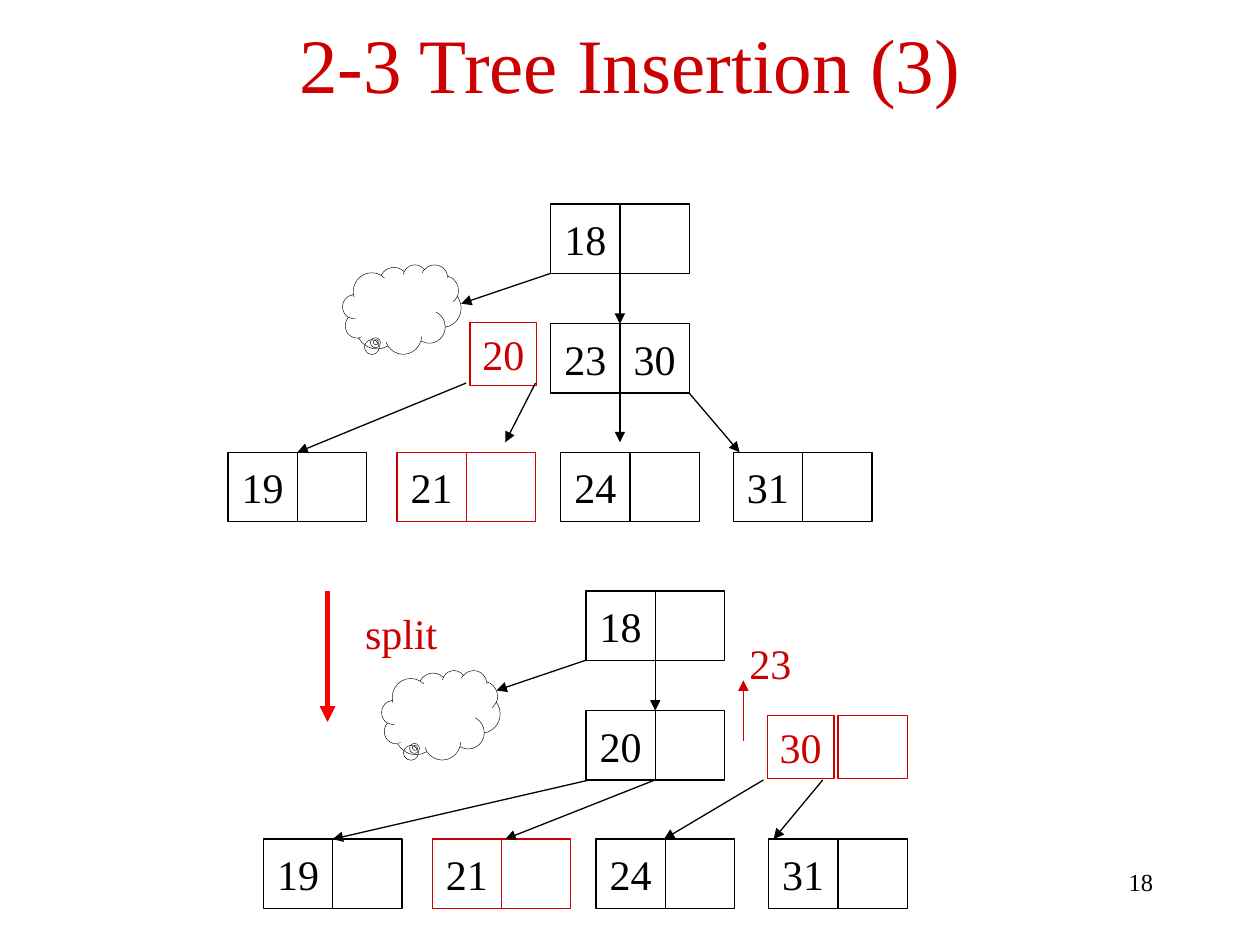
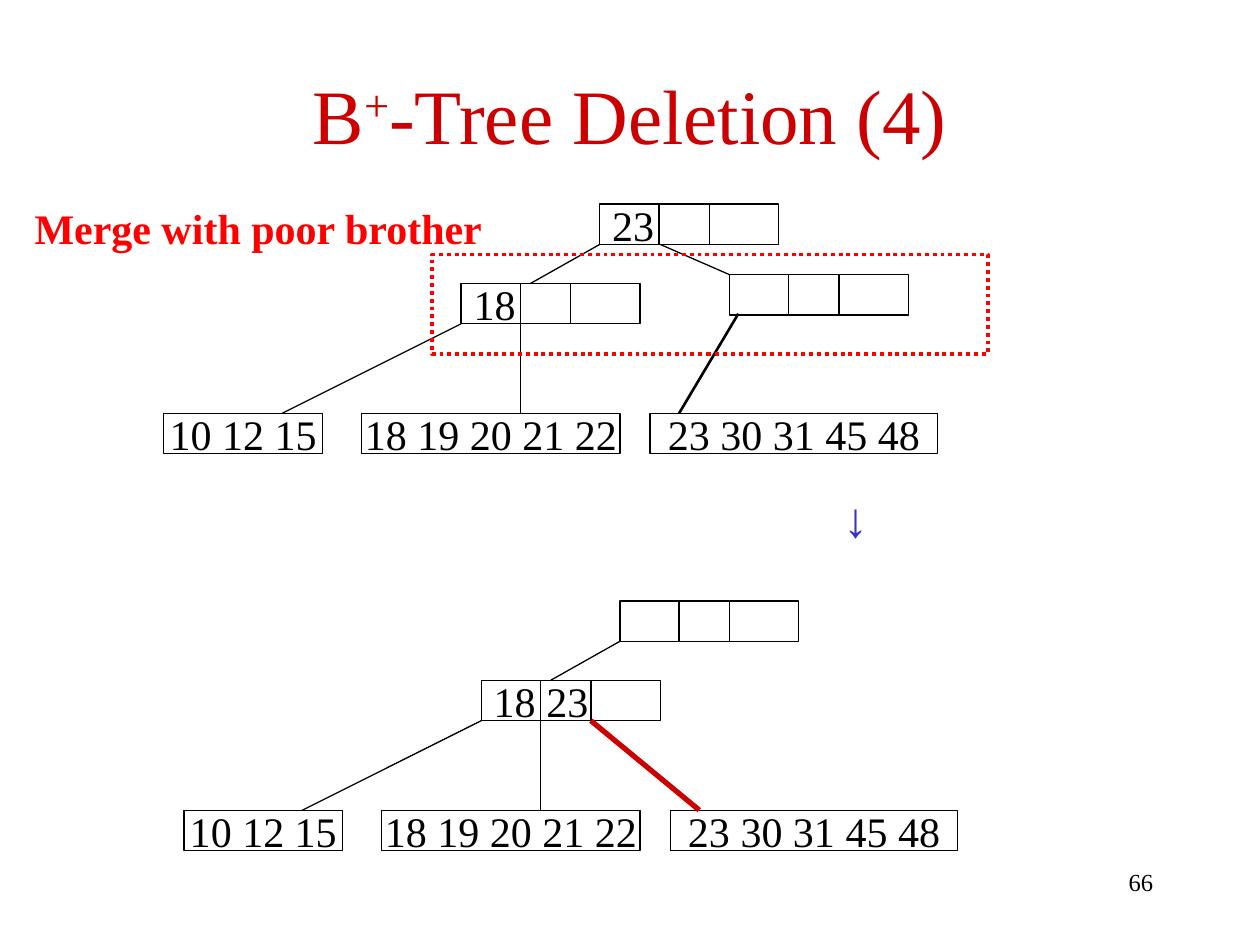
from dataclasses import dataclass
from lxml import etree
from pptx import Presentation, util as u
from pptx.dml.color import RGBColor
from pptx.enum import dml, shapes, text
from pptx.oxml.ns import qn


@dataclass(frozen=True)
class Theme:
    font: str = "Times New Roman"
    black: str = "000000"
    dark_red: str = "CC0000"
    red: str = "FF0000"
    blue: str = "3333CC"
    title: int = 44
    arrow: int = 28
    body: int = 24
    number: int = 14
    hair: float = 0.25
    thin: float = 0.75
    medium: float = 1.5
    dotted: float = 2.25
    thick: float = 3


T = Theme()
CELL = 0.55
NODE_W, NODE_H = 1.42, 0.32
DIVIDERS = 0.47, 0.87
ALIGN, ANCHOR = text.PP_ALIGN, text.MSO_ANCHOR
KIND = shapes.MSO_SHAPE


@dataclass
class Region:
    """A part of a slide; everything in it is placed from its top left corner."""
    s: object
    x: float = 0
    y: float = 0

    def frame(self, x, y, w, h):
        return [u.Inches(v) for v in (self.x + x, self.y + y, w, h)]

    def shape(self, x, y, w, h, kind=KIND.RECTANGLE, color=T.black, width=T.thin):
        sp = self.s.shapes.add_shape(kind, *self.frame(x, y, w, h))
        sp.shadow.inherit = False
        sp.fill.background()
        sp.line.color.rgb = RGBColor.from_string(color)
        sp.line.width = u.Pt(width)
        return sp

    def label(self, x, y, w, h, words, **fmt):
        sp = self.s.shapes.add_textbox(*self.frame(x, y, w, h))
        write(sp, words, **fmt)

    def line(self, start, end, color=T.black, width=T.thin, arrow=False):
        ends = [u.Inches(v) for x, y in (start, end) for v in (self.x + x, self.y + y)]
        c = self.s.shapes.add_connector(shapes.MSO_CONNECTOR.STRAIGHT, *ends)
        c.line.color.rgb = RGBColor.from_string(color)
        c.line.width = u.Pt(width)
        if arrow:
            etree.SubElement(c.line._get_or_add_ln(), qn("a:tailEnd"), type="triangle")
        etree.SubElement(c._element.spPr, qn("a:effectLst"))


def write(sp, words, size=T.body, color=T.black, bold=False, align=ALIGN.CENTER,
          anchor=ANCHOR.TOP, wrap=False, raised=None):
    """Write one paragraph; the run equal to raised becomes a superscript."""
    tf = sp.text_frame
    frame = {"word_wrap": wrap, "vertical_anchor": anchor, "auto_size": text.MSO_AUTO_SIZE.NONE}
    for name, value in frame.items():
        setattr(tf, name, value)
    p = tf.paragraphs[0]
    p.alignment = align
    for part in [words] if isinstance(words, str) else words:
        r = p.add_run()
        r.text = part
        for name, value in {"name": T.font, "size": u.Pt(size), "bold": bold}.items():
            setattr(r.font, name, value)
        r.font.color.rgb = RGBColor.from_string(color)
        if part == raised:
            r.font._element.set("baseline", "30000")


def add_slide(prs, title, number, top, raised=None):
    """Blank slide with the shared title and slide number."""
    page = Region(prs.slides.add_slide(prs.slide_layouts[6]))
    page.label(0.5, top, 9, 1, title, size=T.title, color=T.dark_red,
               anchor=ANCHOR.MIDDLE, wrap=True, raised=raised)
    page.label(7.17, 6.83, 2.08, 0.5, number, size=T.number, align=ALIGN.RIGHT, wrap=True)
    return page


# 2-3 tree parts
def key_pair(tree, x, y, keys, color=T.black):
    for i, key in enumerate(keys):
        sp = tree.shape(x + i * CELL, y, CELL, CELL, color=color)
        if key:
            write(sp, key, anchor=ANCHOR.MIDDLE)


def red_key(tree, x, y, key):
    write(tree.shape(x, y, 0.53, 0.5, color=T.dark_red), key, color=T.dark_red)


def arrows(tree, *ends):
    for start, end in ends:
        tree.line(start, end, arrow=True)


def two_three_tree(tree, inner_keys, cloud_x, cloud_y):
    """Root, hidden left subtree, inner node and four leaves."""
    root_x, inner_y, leaf_y = 2.56, 0.95, 1.97
    key_pair(tree, root_x, 0, ("18", ""))
    key_pair(tree, root_x, inner_y, inner_keys)
    leaves = (0, "19"), (1.34, "21"), (2.64, "24"), (4.01, "31")
    for x, key in leaves:
        key_pair(tree, x, leaf_y, (key, ""), T.dark_red if key == "21" else T.black)
    cloud = tree.shape(cloud_x, cloud_y, 0.94, 0.71, KIND.CLOUD_CALLOUT, width=T.hair)
    for i, value in enumerate((-0.22, 0.367)):
        cloud.adjustments[i] = value
    arrows(tree, ((root_x, CELL), (1.85, 0.79)),
           ((root_x + CELL, CELL), (root_x + CELL, inner_y)))


def insertion_slide(prs):
    page = add_slide(prs, "2-3 Tree Insertion (3)", "18", 0)

    # Before the split
    before = Region(page.s, 1.81, 1.62)
    two_three_tree(before, ("23", "30"), 0.91, 0.48)
    red_key(before, 1.92, 0.94, "20")
    arrows(before, ((1.89, 1.42), (0.55, 1.97)), ((2.44, 1.42), (2.2, 1.89)),
           ((3.11, 1.5), (3.11, 1.89)), ((3.66, 1.5), (4.06, 1.97)))

    # Step between the trees
    page.line((2.6, 4.69), (2.6, 5.73), T.red, T.thick, arrow=True)
    page.label(2.8, 4.77, 0.77, 0.5, "split", color=T.dark_red)

    # After the split, with 23 moving up
    after = Region(page.s, 2.09, 4.69)
    two_three_tree(after, ("20", ""), 0.94, 0.63)
    red_key(after, 4, 0.99, "30")
    after.shape(4.56, 0.99, CELL, 0.5, color=T.dark_red)
    after.label(3.76, 0.32, 0.53, 0.5, "23", color=T.dark_red)
    after.line((3.81, 1.19), (3.81, 0.71), T.dark_red, arrow=True)
    arrows(after, ((2.59, 1.5), (0.55, 1.97)), ((3.11, 1.5), (1.92, 1.97)),
           ((3.97, 1.5), (3.18, 1.97)), ((4.44, 1.5), (4.05, 1.97)))


# B+ tree parts
def index_node(tree, x, y, keys=""):
    sp = tree.shape(x, y, NODE_W, NODE_H)
    if keys:
        write(sp, keys, align=ALIGN.LEFT, anchor=ANCHOR.MIDDLE)
    for dx in DIVIDERS:
        tree.line((x + dx, y), (x + dx, y + NODE_H))


def b_plus_tree(tree, root_keys, inner_keys):
    """Root, left inner node and three leaves with their shared edges."""
    root_x, inner_x, inner_y, leaf_y = 3.46, 2.36, 0.63, 1.66
    inner_bottom = inner_y + NODE_H
    index_node(tree, root_x, 0, root_keys)
    index_node(tree, inner_x, inner_y, inner_keys)
    leaves = ((0, 1.26, "10 12 15"), (1.57, 2.05, "18 19 20 21 22"),
              (3.86, 2.28, "23 30 31 45 48"))
    for x, w, keys in leaves:
        write(tree.shape(x, leaf_y, w, NODE_H), keys, anchor=ANCHOR.MIDDLE)
    tree.line((root_x, NODE_H), (2.91, inner_y))
    tree.line((inner_x, inner_bottom), (0.94, leaf_y))
    middle = inner_x + DIVIDERS[0]
    tree.line((middle, inner_bottom), (middle, leaf_y))


def deletion_slide(prs):
    page = add_slide(prs, ("B", "+", "-Tree Deletion (4)"), "66", 0.4, raised="+")

    # Before the merge
    before = Region(page.s, 1.3, 1.62)
    b_plus_tree(before, "23", "18")
    index_node(before, 4.49, 0.56)
    before.line((3.94, NODE_H), (4.49, 0.56))
    before.line((4.56, 0.87), (4.09, 1.66), width=T.medium)

    # Nodes to be merged
    page.label(0.17, 1.56, 3.76, 0.5, "Merge with poor brother", color=T.red, bold=True)
    marker = page.shape(3.43, 2.02, 4.41, 0.79, color=T.red, width=T.dotted)
    marker.line.dash_style = dml.MSO_LINE.ROUND_DOT
    page.label(5.47, 3.83, 2.64, 0.57, "↓", size=T.arrow, color=T.blue, bold=True, wrap=True)

    # After the merge
    after = Region(page.s, 1.46, 4.77)
    b_plus_tree(after, "", "18 23")
    after.line((3.23, 0.95), (4.09, 1.66), T.dark_red, T.thick)


def main():
    prs = Presentation()
    prs.slide_width, prs.slide_height = u.Inches(10), u.Inches(7.5)
    insertion_slide(prs)
    deletion_slide(prs)
    prs.save("out.pptx")


if __name__ == "__main__":
    main()
